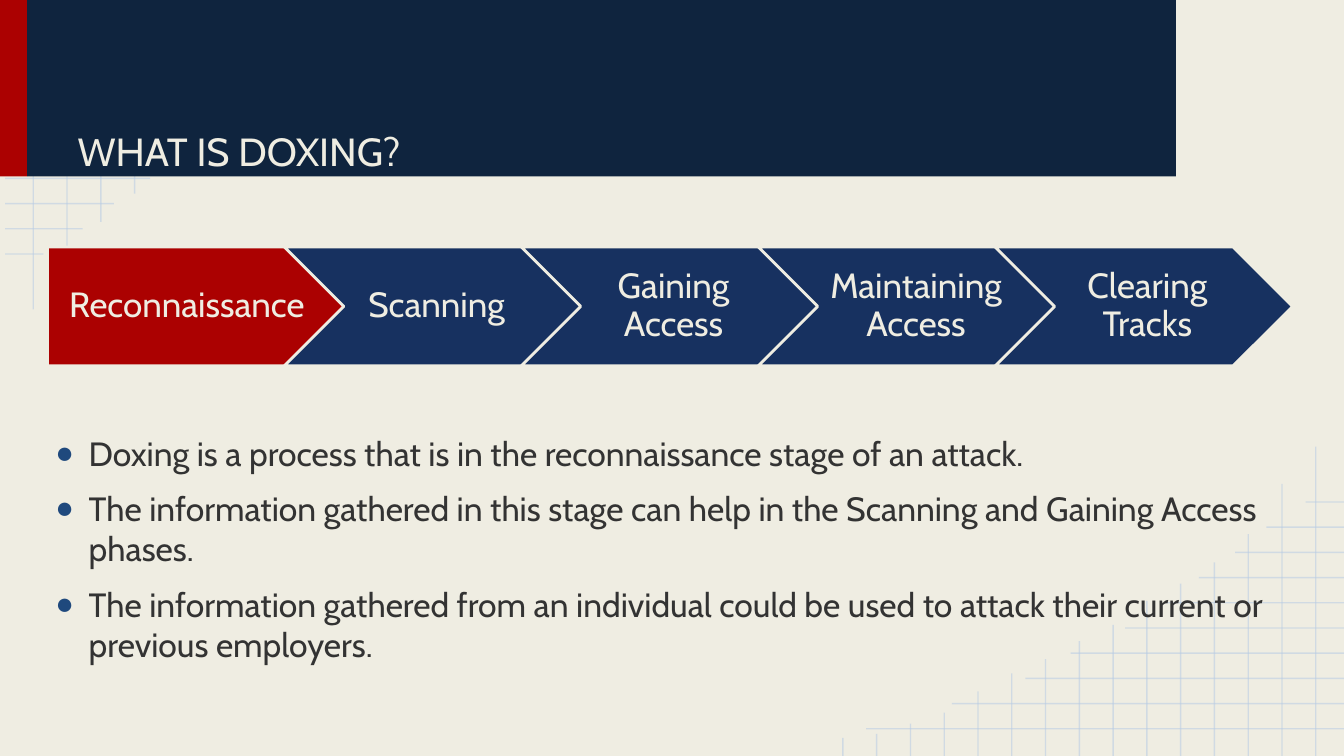
from collections import namedtuple
from dataclasses import dataclass

from lxml import etree
from pptx import Presentation
from pptx import util as u
from pptx.dml import color
from pptx.enum import shapes, text
from pptx.oxml import ns

Box = namedtuple("Box", "x y w h")
Inch = u.Inches


@dataclass(frozen=True)
class Theme:
    font: str = "Cabin"
    cream: str = "EFEDE2"
    red: str = "AB0101"
    navy: str = "0F243E"
    blue: str = "173160"
    rule: str = "B7CCE4"
    dot: str = "1F497D"
    ink: str = "333333"
    title: float = 28
    stage: float = 25
    body: float = 24


T = Theme()
PAGE = Box(0, 0, 13.33, 7.5)
BAND = Box(0, 0, PAGE.w * 0.875, 1.75)
ROWS = [4.74, 3.89, 3.16, 2.71, 2.17, 1.77, 1.44, 1.08, 0.77, 0.38]
COLS = [3.07, 2.7, 2.2, 1.92, 1.71, 1.54, 1.3, 1.14, 0.96, 0.82,
        0.64, 0.43, 0.32, 0.22, 0.18]
STAGES = ["Reconnaissance", "Scanning", "Gaining Access",
          "Maintaining Access", "Clearing Tracks"]
POINTS = [
    "Doxing is a process that is in the reconnaissance stage of an attack.",
    "The information gathered in this stage can help in the Scanning and Gaining Access phases.",
    "The information gathered from an individual could be used to attack their current or previous employers.",
]


def rgb(code):
    return color.RGBColor.from_string(code)


def sub(node, tag, **attrs):
    return etree.SubElement(node, ns.qn(tag), attrs)


def style(par, size, tone):
    par.font.name = T.font
    par.font.size = u.Pt(size)
    par.font.color.rgb = rgb(tone)


def place(shape, box):
    shape.left, shape.top, shape.width, shape.height = map(Inch, box)


def block(slide, kind, box, fill):
    shape = slide.shapes.add_shape(kind, *map(Inch, box))
    shape.shadow.inherit = False
    shape.fill.solid()
    shape.fill.fore_color.rgb = rgb(fill)
    shape.line.fill.background()
    return shape


def rule(slide, *ends):
    line = slide.shapes.add_connector(shapes.MSO_CONNECTOR.STRAIGHT, *map(Inch, ends))
    line.line.width = u.Pt(1)
    line.line.color.rgb = rgb(T.rule)
    props = line.element.spPr
    sub(next(props.iter(ns.qn("a:srgbClr"))), "a:alpha", val="54000")
    sub(props, "a:effectLst")


def mesh(slide, x, y, way, cover=0):
    for i, span in enumerate(ROWS):
        gap = 0.27 + 0.25 * i
        if gap > cover:
            rule(slide, x, y + way * gap, x + way * span, y + way * gap)
    for i, span in enumerate(COLS):
        gap = 0.28 + 0.335 * i
        if span > cover:
            rule(slide, x + way * gap, y + way * span, x + way * gap, y)


def header(slide, box):
    edge = 0.27
    rect = shapes.MSO_SHAPE.RECTANGLE
    block(slide, rect, Box(box.x, box.y, edge, box.h), T.red)
    block(slide, rect, Box(box.x + edge, box.y, box.w - edge, box.h), T.navy)
    title = slide.shapes.title
    slide.shapes.element.append(title.element)
    place(title, Box(box.x + 0.67, box.y + 0.15, PAGE.w * 0.8, box.h - 0.12))
    frame = title.text_frame
    frame.text = "WHAT IS DOXING?"
    frame.auto_size = text.MSO_AUTO_SIZE.NONE
    frame.vertical_anchor = text.MSO_ANCHOR.BOTTOM
    par = frame.paragraphs[0]
    par.alignment = text.PP_ALIGN.LEFT
    style(par, T.title, T.cream)


def chain(slide, box):
    wide = box.h * 2.5
    step = (box.w - wide) / (len(STAGES) - 1)
    for i, name in enumerate(STAGES):
        first = i == 0
        kind = shapes.MSO_SHAPE.PENTAGON if first else shapes.MSO_SHAPE.CHEVRON
        shape = block(slide, kind, Box(box.x + i * step, box.y, wide, box.h),
                      T.red if first else T.blue)
        shape.adjustments[0] = 0.5
        shape.line.color.rgb = rgb(T.cream)
        shape.line.width = u.Pt(2)
        frame = shape.text_frame
        frame.word_wrap = True
        frame.vertical_anchor = text.MSO_ANCHOR.MIDDLE
        frame.margin_left = Inch(0.15 if first else 0.11)
        frame.margin_right = Inch(-0.07 if name.startswith("Maintaining") else 0.04)
        frame.margin_top = frame.margin_bottom = Inch(0.07)
        frame.text = name
        par = frame.paragraphs[0]
        par.alignment = text.PP_ALIGN.CENTER
        par.line_spacing = 0.9
        style(par, T.stage, T.cream)


def bullet(par):
    props = par._p.get_or_add_pPr()
    props.set("marL", str(Inch(0.33)))
    props.set("indent", str(Inch(-0.33)))
    sub(sub(props, "a:buClr"), "a:srgbClr", val=T.dot)
    sub(props, "a:buSzPct", val="92000")
    sub(props, "a:buChar", char="●")


def notes(slide, box):
    body = slide.placeholders[1]
    slide.shapes.element.append(body.element)
    place(body, box)
    frame = body.text_frame
    frame.text = "\n".join(POINTS)
    frame.auto_size = text.MSO_AUTO_SIZE.NONE
    frame.vertical_anchor = text.MSO_ANCHOR.MIDDLE
    for i, par in enumerate(frame.paragraphs):
        bullet(par)
        par.space_before = u.Pt(10.8 if i else 0)
        style(par, T.body, T.ink)
    par.space_after = u.Pt(6)


def main():
    deck = Presentation()
    deck.slide_width, deck.slide_height = Inch(PAGE.w), Inch(PAGE.h)
    slide = deck.slides.add_slide(deck.slide_layouts[1])
    slide.background.fill.solid()
    slide.background.fill.fore_color.rgb = rgb(T.cream)
    mesh(slide, 0.05, 0, 1, BAND.h)
    mesh(slide, PAGE.w, PAGE.h, -1)
    header(slide, BAND)
    chain(slide, Box(0.47, 2.45, 12.35, 1.18))
    notes(slide, Box(0.45, 3.81, 12.22, 3.26))
    deck.save("out.pptx")


if __name__ == "__main__":
    main()
